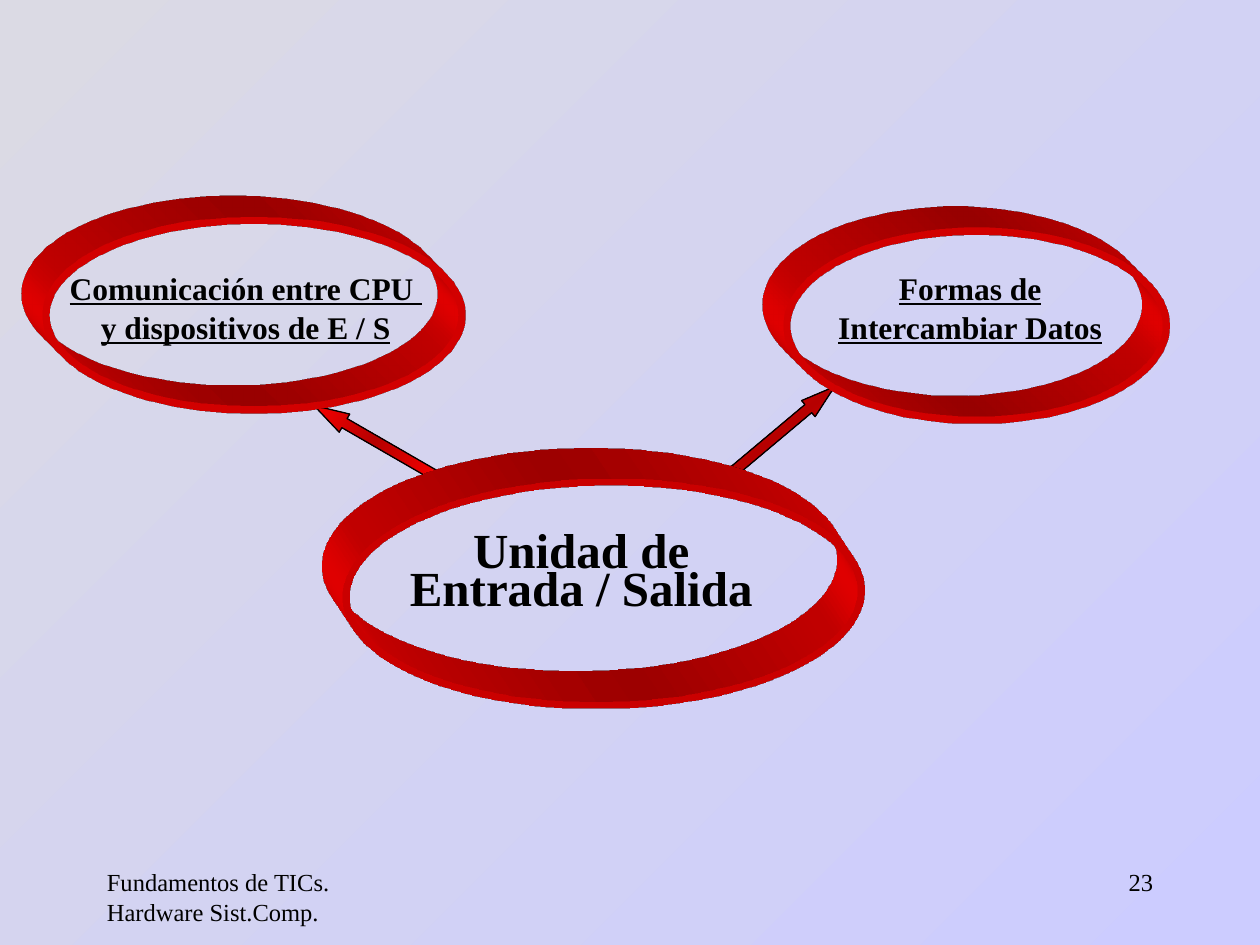
from copy import deepcopy

from lxml.etree import SubElement
from pptx import Presentation
from pptx.dml.color import RGBColor
from pptx.enum.shapes import MSO_SHAPE
from pptx.enum.text import MSO_ANCHOR, PP_ALIGN
from pptx.oxml.ns import qn
from pptx.util import Inches, Pt

HUES = {"text": "000000", "pale": "DBDAE4", "blue": "CCCCFF",
        "red": "FF0000", "dark": "B60000"}
BASE = {"name": "Times New Roman", "size": Pt(14)}
LABEL = BASE | {"size": Pt(18), "bold": True, "underline": True}
TITLE = BASE | {"size": Pt(28), "bold": True}
DEPTH = 430200  # extrusion of the rings, in EMU
DEGREE = 60000


def hue(key):
    return RGBColor.from_string(HUES[key])


def unit(n):
    """Grid of 120 columns by 90 rows, twelve to the inch."""
    return Inches(n / 12)


def node(root, tag, **values):
    return SubElement(root, qn(tag), {k: str(v) for k, v in values.items()})


class Page:
    def __init__(self, deck):
        self.slide = deck.slides.add_slide(deck.slide_layouts[6])
        self.shapes = self.slide.shapes

    def blend(self, fill, root, keys, angle=0):
        """Linear gradient with evenly spaced stops."""
        fill.gradient()
        fill.gradient_angle = angle
        stops = root.find(".//" + qn("a:gsLst"))
        while len(stops) < len(keys):
            stops.append(deepcopy(stops[0]))
        for i, (stop, key) in enumerate(zip(fill.gradient_stops, keys)):
            stop.color.rgb = hue(key)
            stop.position = i / (len(keys) - 1)

    def back(self):
        self.blend(self.slide.background.fill, self.slide._element,
                   ["pale", "blue"], 315)

    def text(self, box, lines, form, align=PP_ALIGN.LEFT, lead=None,
             anchor=MSO_ANCHOR.TOP):
        frame = self.shapes.add_textbox(*map(unit, box)).text_frame
        frame.word_wrap = True
        frame.vertical_anchor = anchor
        par = frame.paragraphs[0]
        par.alignment = align
        par.line_spacing = lead
        for i, line in enumerate(lines):
            if i:
                par.add_line_break()
            run = par.add_run()
            run.text = line
            for name, value in form.items():
                setattr(run.font, name, value)
            run.font.color.rgb = hue("text")

    def shape(self, kind, box, line, width):
        item = self.shapes.add_shape(kind, *map(unit, box))
        item.shadow.inherit = False
        item.line.color.rgb = hue(line)
        item.line.width = Pt(width)
        return item

    def arrow(self, kind, box, turn, head):
        item = self.shape(kind, box, "text", 0.75)
        item.rotation = turn
        item.adjustments[0] = 0.5
        item.adjustments[1] = head
        self.blend(item.fill, item._element, ["red", "dark", "red"])

    def ring(self, box, tilt):
        """Hollow ellipse, extruded up and to the left."""
        item = self.shape(MSO_SHAPE.OVAL, box, "red", 4.25)
        item.fill.background()
        props = item._element.spPr
        scene = node(props, "a:scene3d")
        camera = node(scene, "a:camera", prst="legacyObliqueTopLeft")
        node(camera, "a:rot", lat=tilt * DEGREE, lon=0, rev=0)
        node(scene, "a:lightRig", rig="legacyFlat3", dir="b")
        solid = node(props, "a:sp3d", extrusionH=DEPTH,
                     prstMaterial="legacyMatte")
        for side in ("a:bevelT", "a:bevelB"):
            node(solid, side, w=13500, h=13500, prst="angle")
        node(node(solid, "a:extrusionClr"), "a:srgbClr", val=HUES["red"])


def main():
    deck = Presentation()
    deck.slide_width, deck.slide_height = unit(120), unit(90)
    page = Page(deck)
    page.back()

    # Footer and slide number
    page.text((9, 82, 25, 6), ["Fundamentos de TICs. Hardware Sist.Comp."], BASE)
    page.text((86, 82, 25, 6), ["23"], BASE, PP_ALIGN.RIGHT)

    # Arrows from the unit to its two topics
    page.arrow(MSO_SHAPE.LEFT_ARROW, (29, 41, 13.5, 2), 30, 1.68)
    page.arrow(MSO_SHAPE.UP_ARROW, (73.5, 34.5, 2, 13), 50, 1.63)

    # Rings with their labels
    topics = [
        ((4.4, 21, 39.6, 18), 0, (4.4, 25, 38, 8.5), LABEL,
         ["Comunicación entre CPU ", "y dispositivos de E / S"]),
        ((75, 22, 36, 18), 0, (77.8, 25, 29.2, 8.5), LABEL,
         ["Formas de", "Intercambiar Datos"]),
        ((33, 45, 49, 23), 10, (35, 47.1, 40.7, 12.2), TITLE,
         ["Unidad de", "Entrada / Salida"]),
    ]
    for oval, tilt, box, form, lines in topics:
        page.ring(oval, tilt)
        page.text(box, lines, form, PP_ALIGN.CENTER, Pt(22), MSO_ANCHOR.BOTTOM)

    deck.save("out.pptx")


if __name__ == "__main__":
    main()
